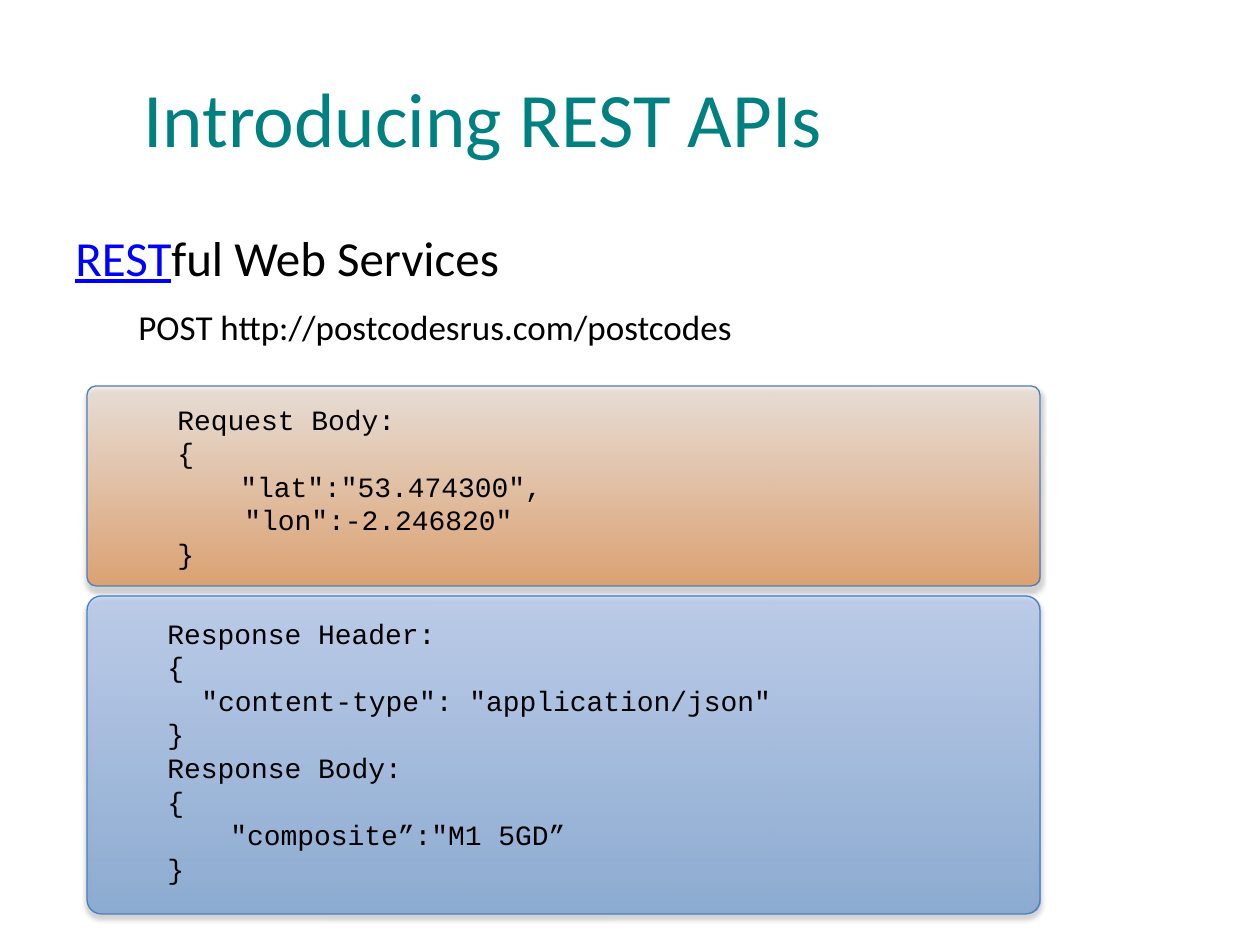
from dataclasses import dataclass

from pptx import Presentation
from pptx import util as u
from pptx.dml.color import RGBColor
from pptx.enum import dml, shapes, text
from pptx.oxml import parse_xml
from pptx.oxml.ns import nsdecls, qn
from pptx.oxml.xmlchemy import OxmlElement

PX = 914400 / 126


@dataclass(frozen=True)
class Theme:
    body_font: str = "Calibri"
    code_font: str = "Courier New"
    title_size: int = 44
    heading_size: int = 28
    request_size: int = 20
    code_size: int = 16
    title: str = "008080"
    ink: str = "000000"
    link: str = "0000FF"
    outline: str = "4B7EBC"
    orange: tuple = ("E46C0A", "FDEADA")  # bottom, top
    blue: tuple = ("3F80CE", "A4C4FF")
    opacity: tuple = (48, 49)


THEME = Theme()

# Each code line is (indent in px, wording)
REQUEST = [
    (0, "Request Body:"),
    (0, "{"),
    (63, '"lat":"53.474300",'),
    (67, '"lon":-2.246820"'),
    (0, "}"),
]
RESPONSE = [
    (0, "Response Header:"),
    (0, "{"),
    (34, '"content-type": "application/json"'),
    (0, "}"),
    (0, "Response Body:"),
    (0, "{"),
    (63, '"composite”:"M1 5GD”'),
    (0, "}"),
]


def px(value):
    return u.Emu(round(value * PX))


def color(value):
    return RGBColor.from_string(value)


def style(paragraph, font, size, ink, indent=0):
    paragraph.font.name = font
    paragraph.font.size = u.Pt(size)
    paragraph.font.color.rgb = color(ink)
    if indent:
        properties = paragraph._p.get_or_add_pPr()
        properties.set("marL", str(px(indent)))
        properties.set("indent", "0")


def add_text_frame(slide, box):
    frame = slide.shapes.add_textbox(*map(px, box)).text_frame
    frame.word_wrap = True
    return frame


def add_line(slide, box, wording, size, ink, indent=0):
    frame = add_text_frame(slide, box)
    paragraph = frame.paragraphs[0]
    paragraph.text = wording
    style(paragraph, THEME.body_font, size, ink, indent)
    return frame


def add_heading(slide, box):
    paragraph = add_text_frame(slide, box).paragraphs[0]
    style(paragraph, THEME.body_font, THEME.heading_size, THEME.ink)
    link = paragraph.add_run()
    link.text = "REST"
    link.font.underline = True
    link.font.color.rgb = color(THEME.link)
    paragraph.add_run().text = "ful Web Services"


def add_code(slide, box, lines):
    frame = add_text_frame(slide, box)
    for index, (indent, wording) in enumerate(lines):
        paragraph = frame.add_paragraph() if index else frame.paragraphs[0]
        paragraph.text = wording
        style(paragraph, THEME.code_font, THEME.code_size, THEME.ink, indent)


def add_panel(slide, box, colors):
    panel = slide.shapes.add_shape(
        shapes.MSO_SHAPE.ROUNDED_RECTANGLE, *map(px, box))
    panel.adjustments[0] = 0.045
    panel.line.color.rgb = color(THEME.outline)
    panel.line.width = u.Pt(0.75)

    # Translucent vertical gradient
    panel.fill.gradient()
    panel.fill.gradient_angle = 90
    for stop, value in zip(panel.fill.gradient_stops, colors):
        stop.color.rgb = color(value)
    properties = panel._element.spPr
    gradient = properties.find(qn("a:gradFill"))
    for node, opacity in zip(gradient.iter(qn("a:srgbClr")), THEME.opacity):
        alpha = OxmlElement("a:alpha")
        alpha.set("val", str(opacity * 1000))
        node.append(alpha)

    # Soft shadow below
    panel.shadow.inherit = False
    properties.find(qn("a:effectLst")).append(parse_xml(
        f'<a:outerShdw {nsdecls("a")} blurRad="{u.Pt(3.1)}" '
        f'dist="{u.Pt(1.8)}" dir="5400000" rotWithShape="0">'
        f'<a:srgbClr val="{THEME.ink}"><a:alpha val="35000"/></a:srgbClr>'
        '</a:outerShdw>'))


def main():
    presentation = Presentation()
    presentation.slide_width = px(1260)
    presentation.slide_height = px(945)
    slide = presentation.slides.add_slide(presentation.slide_layouts[6])

    # Title and introduction
    title = add_line(slide, (63, 38, 840, 158), "Introducing REST APIs",
                     THEME.title_size, THEME.title)
    title.vertical_anchor = text.MSO_ANCHOR.MIDDLE
    title.paragraphs[0].alignment = text.PP_ALIGN.CENTER
    add_heading(slide, (63, 221, 1134, 102))
    add_line(slide, (63, 299, 1134, 102),
             "POST http://postcodesrus.com/postcodes",
             THEME.request_size, THEME.ink, indent=63)

    # Request and response
    add_panel(slide, (87, 386, 953, 200), THEME.orange)
    add_code(slide, (165, 396, 854, 183), REQUEST)
    add_panel(slide, (87, 596, 953, 318), THEME.blue)
    add_code(slide, (155, 610, 854, 285), RESPONSE)

    presentation.save("out.pptx")


if __name__ == "__main__":
    main()
